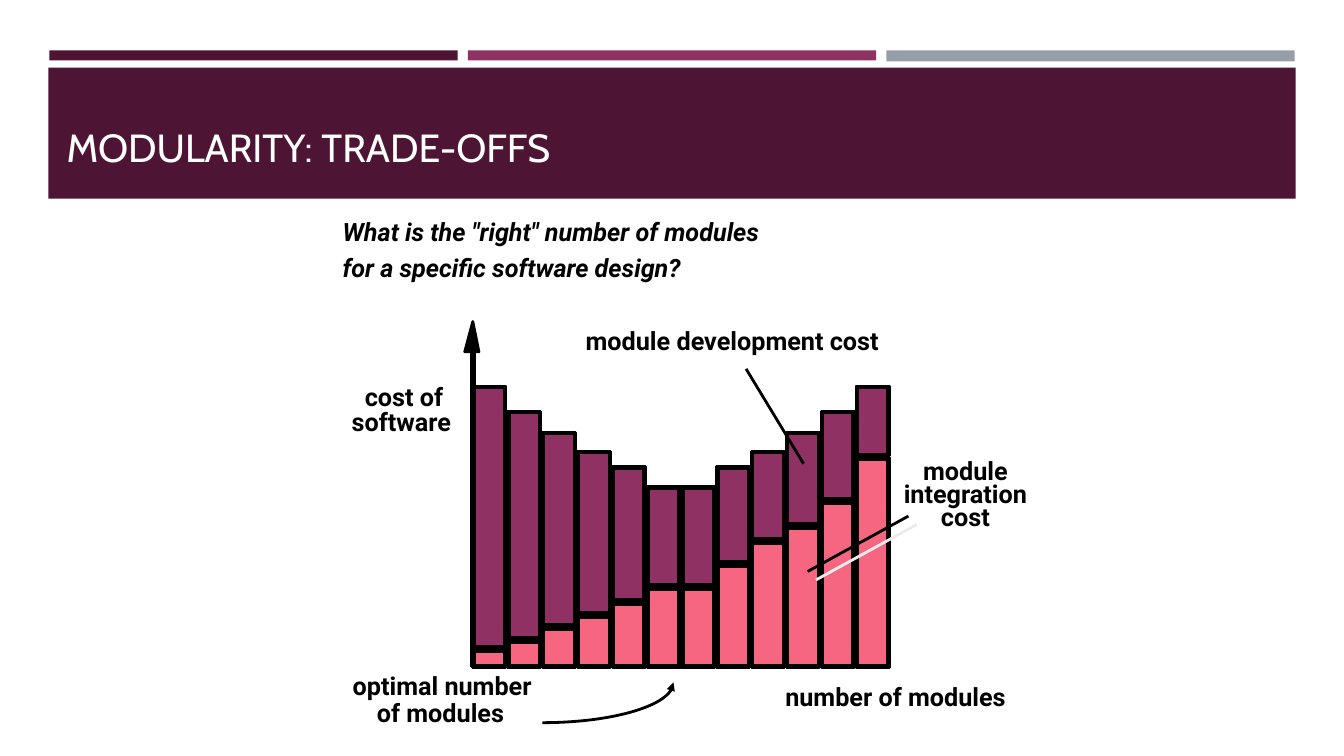
import math
from dataclasses import dataclass

from lxml import etree
from pptx import Presentation
from pptx import util as u
from pptx.dml.color import RGBColor
from pptx.enum import shapes, text
from pptx.oxml import ns


@dataclass(frozen=True)
class Theme:
    plum: str = "4D1434"
    purple: str = "903163"
    grey: str = "969FA7"
    pink: str = "F76681"
    black: str = "000000"
    white: str = "FFFFFF"
    shadow: str = "EBEBEB"
    title_font: str = "Cabin"
    body_font: str = "Roboto"
    title_size: int = 28
    body_size: int = 18
    thin: int = 2
    thick: int = 4


THEME = Theme()
TITLE = ("MODULARITY: TRADE-OFFS", (0.59, 1.19, 5.37, 0.66))
BANDS = [
    (THEME.plum, (0.49, 0.5, 4.05, 0.1)),
    (THEME.purple, (4.64, 0.5, 4.05, 0.1)),
    (THEME.grey, (8.79, 0.5, 4.05, 0.11)),
    (THEME.plum, (0.48, 0.67, 12.37, 1.3)),
]
QUESTION = [
    ('What is the "right" number of modules', (3.3, 2.1, 4.9, 0.4)),
    ("for a specific software design?", (3.3, 2.45, 3.9, 0.4)),
]
LABELS = [
    ("optimal number", (3.4, 6.6, 2.07, 0.4)),
    ("of modules", (3.64, 6.87, 1.56, 0.4)),
    ("cost of", (3.52, 3.73, 1.06, 0.4)),
    ("software", (3.39, 3.98, 1.26, 0.4)),
    ("number of modules", (7.69, 6.71, 2.52, 0.4)),
    ("module development cost", (5.71, 3.18, 3.35, 0.4)),
]
INTEGRATION_LABEL = ("module\nintegration\ncost", (8.83, 4.54, 1.49, 0.77))

FALLING_TOPS = [3.83, 4.08, 4.29, 4.48, 4.63, 4.83]
BAR_TOPS = FALLING_TOPS + FALLING_TOPS[::-1]
INTEGRATION_TOPS = [6.45, 6.36, 6.23, 6.11, 5.98, 5.83,
                    5.83, 5.61, 5.38, 5.23, 4.98, 4.54]
AXIS_X, BASELINE = 4.69, 6.62
BAR_STEP, BAR_WIDTH = 3.8 / 11, 0.33
SEGMENT_GAP, FRAME_INSET = 0.02, 0.015

ARROWHEAD = [(4.69, 3.19), (4.75, 3.49), (4.61, 3.49)]
CURVE_CENTER, CURVE_RADII, CURVE_STEPS = (5.38, 6.77), (1.3, 0.4), 30


def color(value):
    return RGBColor.from_string(value)


def add_child(parent, tag, **attributes):
    child = etree.SubElement(parent, ns.qn(tag))
    for name, value in attributes.items():
        child.set(name, value)
    return child


def style_shape(shape, fill=None, line=None):
    shape.shadow.inherit = False
    if fill:
        shape.fill.solid()
        shape.fill.fore_color.rgb = color(fill)
    else:
        shape.fill.background()
    if line:
        shape.line.color.rgb = color(line)
        shape.line.width = u.Pt(THEME.thin)
    else:
        shape.line.fill.background()


def add_rect(page, at, fill=None, line=None):
    rect = page.shapes.add_shape(shapes.MSO_SHAPE.RECTANGLE, *map(u.Inches, at))
    style_shape(rect, fill, line)


def add_segment(page, left, top, bottom, fill):
    height = bottom - top
    inner = (left + FRAME_INSET, top + FRAME_INSET,
             BAR_WIDTH - 2 * FRAME_INSET, height - 2 * FRAME_INSET)
    add_rect(page, inner, fill, THEME.black)
    add_rect(page, (left, top, BAR_WIDTH, height), line=THEME.black)


def add_text(page, words, at, size=THEME.body_size, font=THEME.body_font,
             ink=THEME.black, bold=True, italic=False, margins=(0.1, 0.05),
             align=text.PP_ALIGN.LEFT, spacing=None):
    box = page.shapes.add_textbox(*map(u.Inches, at))
    frame = box.text_frame
    frame.word_wrap = True
    frame.vertical_anchor = text.MSO_ANCHOR.TOP
    frame.margin_left = frame.margin_right = u.Inches(margins[0])
    frame.margin_top = frame.margin_bottom = u.Inches(margins[1])
    frame.text = words
    for para in frame.paragraphs:
        para.alignment = align
        if spacing:
            para.line_spacing = spacing
        for span in para.runs:
            span.font.name = font
            span.font.size = u.Pt(size)
            span.font.bold = bold
            span.font.italic = italic
            span.font.color.rgb = color(ink)


def add_line(page, start, end, width=THEME.thin):
    line = page.shapes.add_connector(
        shapes.MSO_CONNECTOR.STRAIGHT, *map(u.Inches, start + end))
    line.line.color.rgb = color(THEME.black)
    line.line.width = u.Pt(width)
    return add_child(line._element.spPr, "a:effectLst")


def add_outline(page, points, closed, fill=None):
    places = [tuple(map(u.Inches, point)) for point in points]
    builder = page.shapes.build_freeform(*places[0], scale=1.0)
    builder.add_line_segments(places[1:], close=closed)
    outline = builder.convert_to_shape()
    style_shape(outline, fill, THEME.black)
    return outline


def draw_bars(page):
    for index, (top, split) in enumerate(zip(BAR_TOPS, INTEGRATION_TOPS)):
        left = AXIS_X + index * BAR_STEP
        add_segment(page, left, split, BASELINE, THEME.pink)
        add_segment(page, left, top, split - SEGMENT_GAP, THEME.purple)


def draw_pointers(page):
    add_outline(page, ARROWHEAD, True, THEME.black)
    add_line(page, (AXIS_X, BASELINE), (AXIS_X, 3.48), THEME.thick)
    add_line(page, (7.4, 3.66), (7.97, 4.6))
    effects = add_line(page, (9.01, 5.12), (8.01, 5.67))
    shadow = add_child(effects, "a:outerShdw", dist=str(u.Pt(8.5)), dir="2700000")
    add_child(shadow, "a:srgbClr", val=THEME.shadow)

    angles = [step * math.pi / 2 / CURVE_STEPS for step in range(CURVE_STEPS + 1)]
    curve = add_outline(page, [
        (CURVE_CENTER[0] + CURVE_RADII[0] * math.cos(angle),
         CURVE_CENTER[1] + CURVE_RADII[1] * math.sin(angle))
        for angle in angles], False)
    add_child(curve.line._get_or_add_ln(), "a:headEnd", type="triangle")


def main():
    deck = Presentation()
    deck.slide_width, deck.slide_height = u.Inches(13.33), u.Inches(7.5)
    page = deck.slides.add_slide(deck.slide_layouts[6])
    for fill, at in BANDS:
        add_rect(page, at, fill)
    add_text(page, *TITLE, size=THEME.title_size, font=THEME.title_font,
             ink=THEME.white, bold=False, margins=(0.07, 0.03))
    for words, at in QUESTION:
        add_text(page, words, at, italic=True)
    draw_bars(page)
    for words, at in LABELS:
        add_text(page, words, at)
    add_text(page, *INTEGRATION_LABEL, align=text.PP_ALIGN.CENTER, spacing=0.75)
    draw_pointers(page)
    deck.save("out.pptx")


if __name__ == "__main__":
    main()
